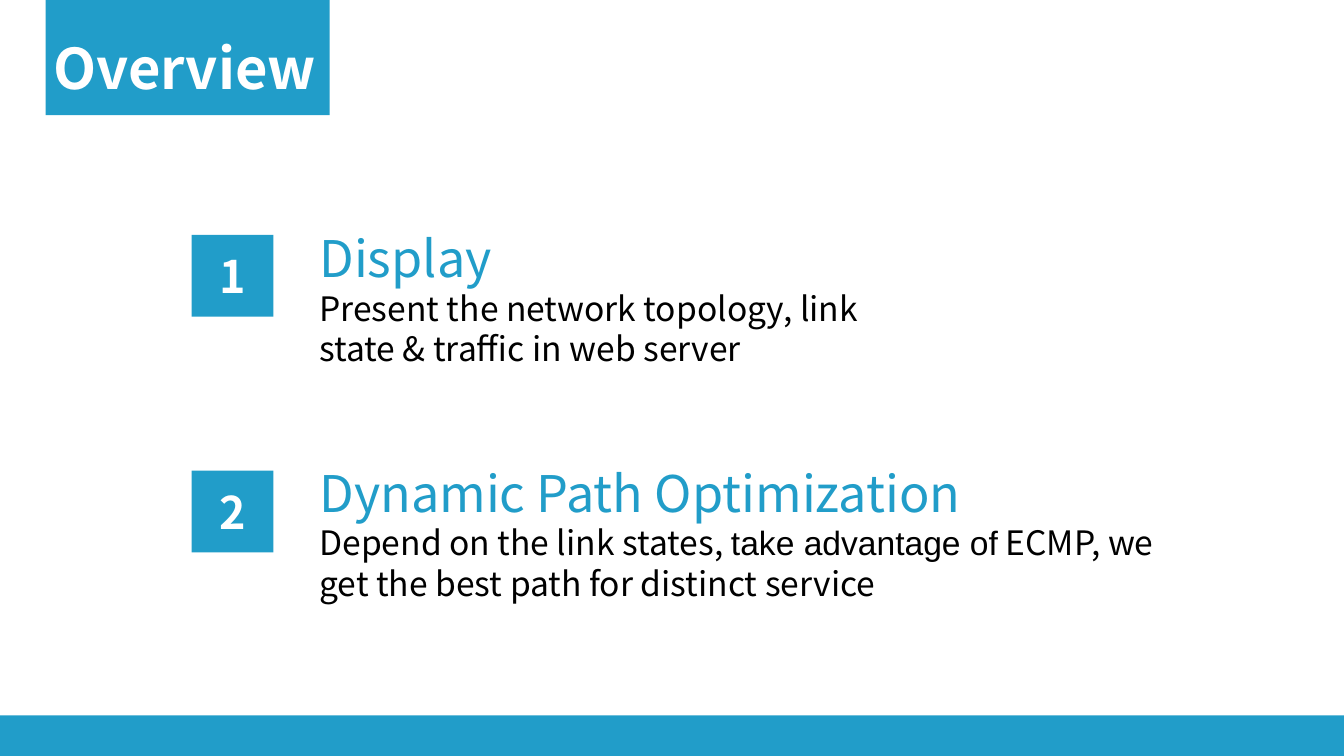
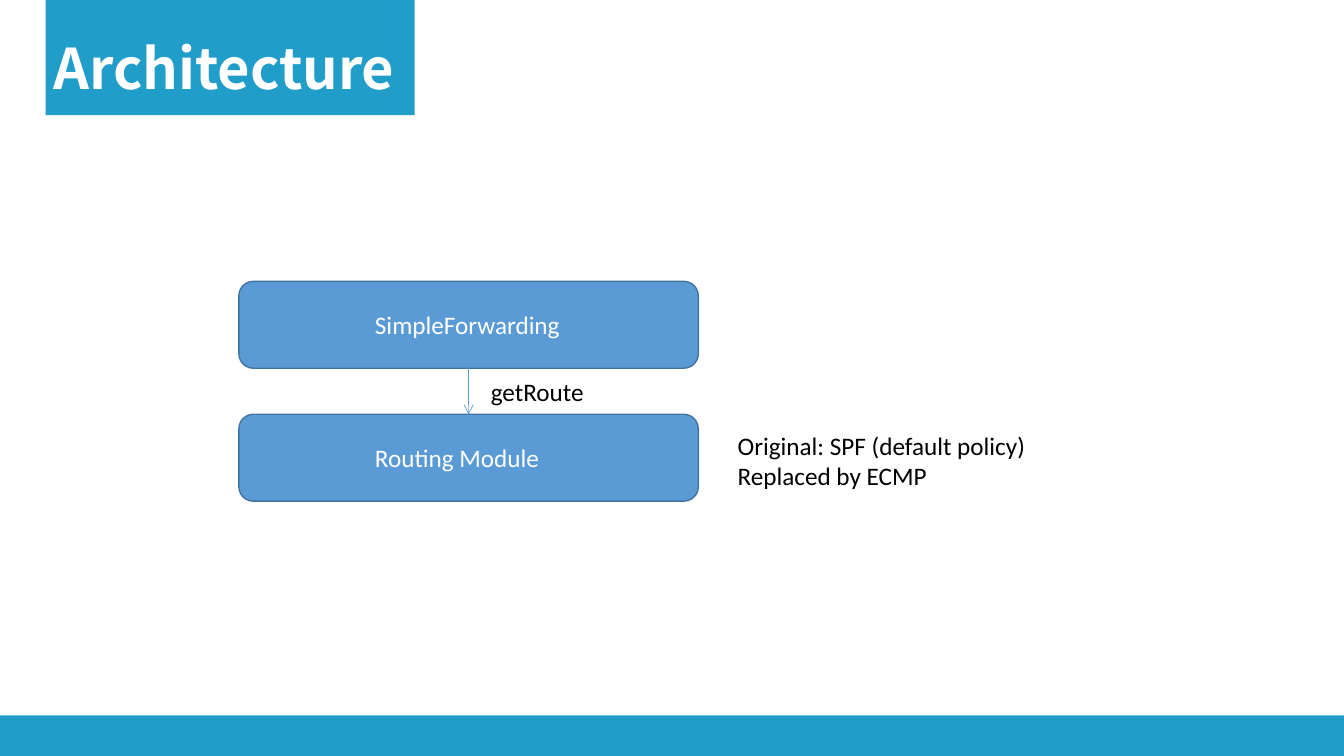
from lxml.etree import SubElement
from pptx import Presentation
from pptx.dml.color import RGBColor
from pptx.enum.shapes import MSO_CONNECTOR, MSO_SHAPE
from pptx.enum.text import MSO_ANCHOR, PP_ALIGN
from pptx.oxml.ns import qn
from pptx.util import Cm, Pt

# Shared look
PAGE_WIDTH, PAGE_HEIGHT = 33.87, 19.05
TEAL, BLUE, BLUE_EDGE = "219DC9", "5B9BD5", "43739E"
WHITE, BLACK = "FFFFFF", "000000"
HEAD_FONT, BODY_FONT, MIXED_FONT = "Noto Sans CJK SC", "Calibri", "Arial"
LINE_FACTOR = 1.2

TITLE = {"name": HEAD_FONT, "size": 40, "color": WHITE, "bold": True}
NUMBER = {**TITLE, "size": 32}
HEADING = {"name": HEAD_FONT, "size": 36, "color": TEAL}
DETAIL = {"name": HEAD_FONT, "size": 24, "color": BLACK}
DETAIL_MIXED = {**DETAIL, "name": MIXED_FONT}
LABEL = {"name": BODY_FONT, "size": 18, "color": BLACK}
MODULE = {**LABEL, "color": WHITE}

# Content, lengths in centimetres; a line is a list of (text, style) spans
OVERVIEW = {"title": "Overview", "tab_width": 7.16}
TOPICS = [
    {"width": 15.14, "lines": [
        [("Display", HEADING)],
        [("Present the network topology, link", DETAIL)],
        [("state & traffic in web server", DETAIL)]]},
    {"width": 22.78, "lines": [
        [("Dynamic Path Optimization", HEADING)],
        [("Depend on the link states, ", DETAIL),
         ("take advantage of", DETAIL_MIXED), (" ECMP, we", DETAIL)],
        [("get the best path for distinct service", DETAIL)]]},
]
TOPIC_TOP, TOPIC_STEP, TOPIC_LEFT = 5.61, 5.9, 7.8
BADGE_LEFT, BADGE_TOP, BADGE_SIDE, BADGE_STEP = 4.83, 5.92, 2.06, 5.94

ARCHITECTURE = {"title": "Architecture", "tab_width": 9.3}
MODULES = [("SimpleForwarding", 5.23), ("Routing Module", 4.7)]
MODULE_LEFT, MODULE_TOP, MODULE_WIDTH, MODULE_HEIGHT = 6.02, 7.09, 11.58, 2.19
MODULE_STEP = 3.35
MODULE_TEXT_LEFT, MODULE_TEXT_DROP = 9.2, 0.58
NOTES = [
    ((12.12, 9.35, 2.87, 1.02), ["getRoute"]),
    ((18.34, 10.72, 7.85, 1.8),
     ["Original: SPF (default policy)", "Replaced by ECMP"]),
]


def rgb(value):
    return RGBColor.from_string(value)


def write(frame, lines, align=PP_ALIGN.LEFT, fixed_spacing=False):
    frame.word_wrap = True
    for index, line in enumerate(lines):
        para = frame.paragraphs[0] if index == 0 else frame.add_paragraph()
        para.alignment = align
        if fixed_spacing:
            para.line_spacing = Pt(line[0][1]["size"] * LINE_FACTOR)
        for text, style in line:
            span = para.add_run()
            span.text = text
            for key, value in style.items():
                if key == "color":
                    span.font.color.rgb = rgb(value)
                else:
                    setattr(span.font, key, Pt(value) if key == "size" else value)


def add_text(page, place, lines, fixed_spacing=False):
    box = page.shapes.add_textbox(*map(Cm, place))
    write(box.text_frame, lines, fixed_spacing=fixed_spacing)


def add_block(page, place, fill, edge=None, kind=MSO_SHAPE.RECTANGLE):
    block = page.shapes.add_shape(kind, *map(Cm, place))
    block.shadow.inherit = False
    block.fill.solid()
    block.fill.fore_color.rgb = rgb(fill)
    if edge:
        block.line.color.rgb = rgb(edge)
        block.line.width = Pt(1)
    else:
        block.line.fill.background()
    return block


def add_arrow(page, start, end):
    arrow = page.shapes.add_connector(
        MSO_CONNECTOR.STRAIGHT, *map(Cm, (*start, *end)))
    arrow.line.color.rgb = rgb(BLUE)
    arrow.line.width = Pt(0.5)
    SubElement(arrow.line._get_or_add_ln(), qn("a:tailEnd"), type="arrow")
    SubElement(arrow._element.spPr, qn("a:effectLst"))


def add_page(deck, title, tab_width):
    page = deck.slides.add_slide(deck.slide_layouts[6])
    footer_top = 18.03
    add_block(page, (0, footer_top, PAGE_WIDTH, PAGE_HEIGHT - footer_top), TEAL)
    add_block(page, (1.15, 0, tab_width, 2.9), TEAL)
    add_text(page, (1.1, 0.71, tab_width + 0.1, 1.96), [[(title, TITLE)]], True)
    return page


def build_overview(deck):
    page = add_page(deck, **OVERVIEW)
    for index, topic in enumerate(TOPICS):
        # Numbered badge
        badge_top = BADGE_TOP + index * BADGE_STEP
        badge = add_block(
            page, (BADGE_LEFT, badge_top, BADGE_SIDE, BADGE_SIDE), TEAL)
        badge.text_frame.vertical_anchor = MSO_ANCHOR.MIDDLE
        write(badge.text_frame, [[(str(index + 1), NUMBER)]], PP_ALIGN.CENTER)
        # Heading and detail
        top = TOPIC_TOP + index * TOPIC_STEP
        add_text(page, (TOPIC_LEFT, top, topic["width"], 3.84),
                 topic["lines"], True)


def build_architecture(deck):
    page = add_page(deck, **ARCHITECTURE)
    # Stacked modules
    for index, (name, text_width) in enumerate(MODULES):
        top = MODULE_TOP + index * MODULE_STEP
        add_block(page, (MODULE_LEFT, top, MODULE_WIDTH, MODULE_HEIGHT),
                  BLUE, BLUE_EDGE, MSO_SHAPE.ROUNDED_RECTANGLE)
        add_text(page, (MODULE_TEXT_LEFT, top + MODULE_TEXT_DROP, text_width, 1.02),
                 [[(name, MODULE)]])
    # Call between the modules, and notes
    middle = MODULE_LEFT + MODULE_WIDTH / 2
    add_arrow(page, (middle, MODULE_TOP + MODULE_HEIGHT),
              (middle, MODULE_TOP + MODULE_STEP))
    for place, lines in NOTES:
        add_text(page, place, [[(line, LABEL)] for line in lines])


def main():
    deck = Presentation()
    deck.slide_width, deck.slide_height = Cm(PAGE_WIDTH), Cm(PAGE_HEIGHT)
    build_overview(deck)
    build_architecture(deck)
    deck.save("out.pptx")


if __name__ == "__main__":
    main()
